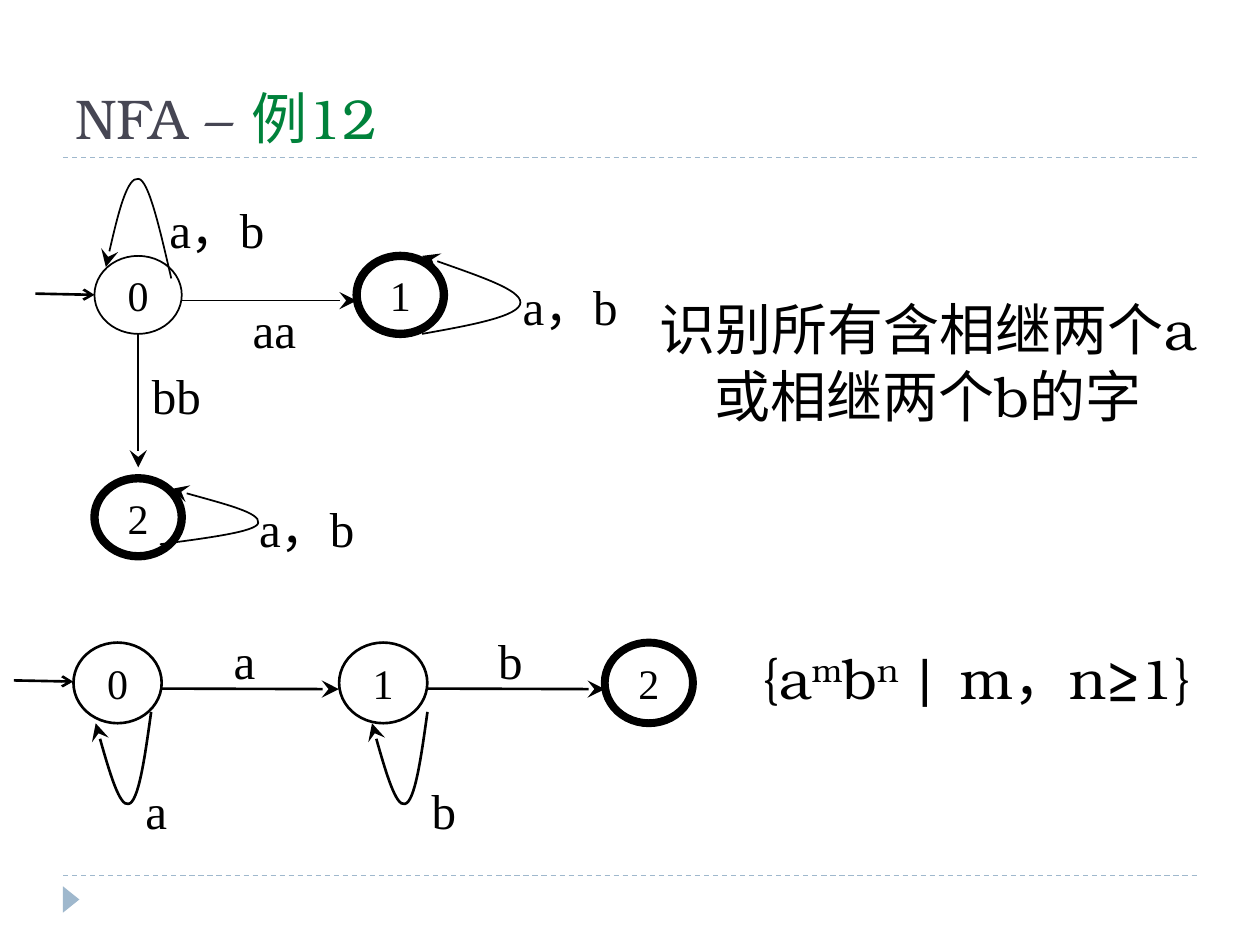
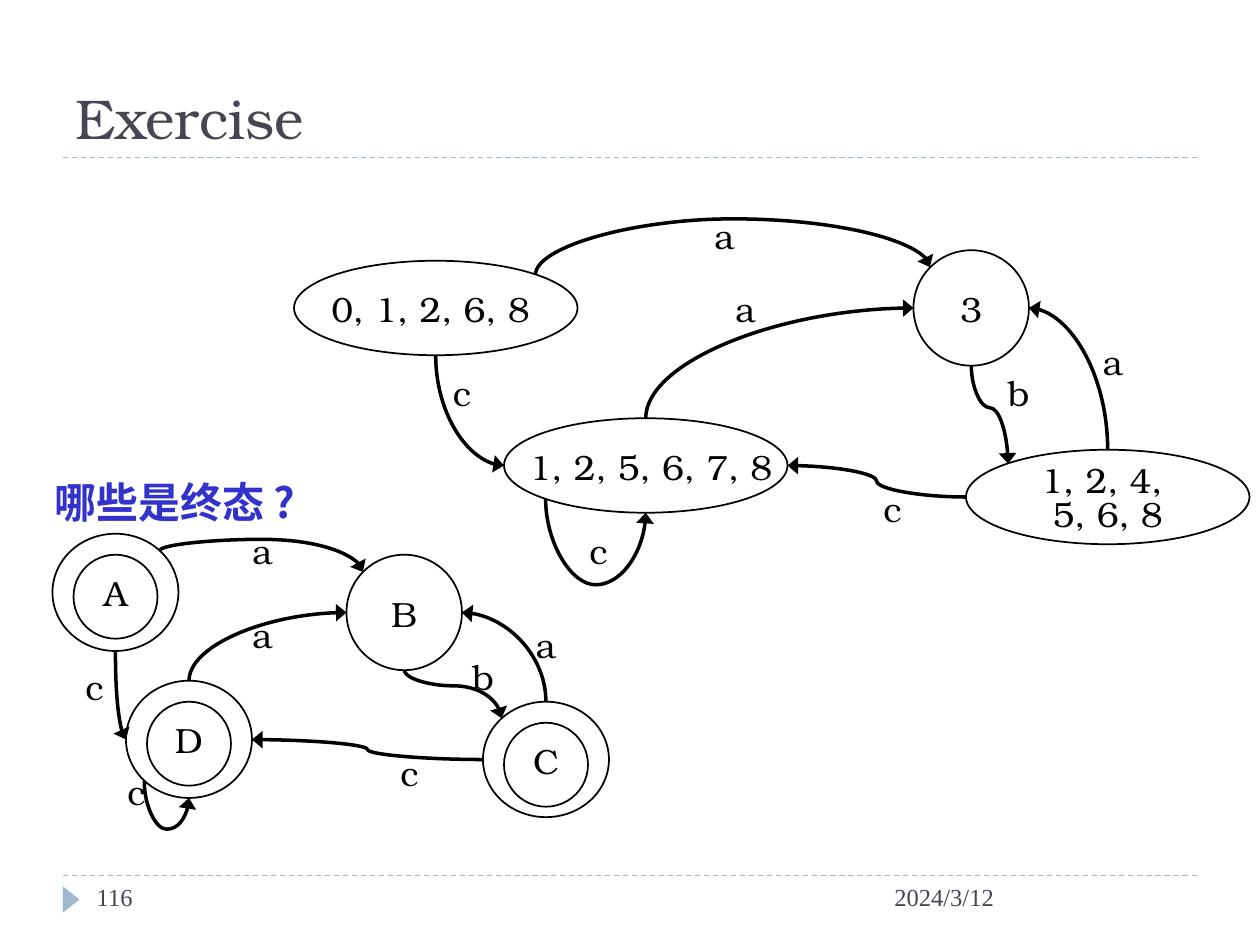
"""Build two slides of finite automata: an NFA example and a subset exercise."""
from dataclasses import dataclass, field
from typing import Any, Optional

import pptx
import pptx.dml.color
import pptx.enum.dml
import pptx.enum.shapes
import pptx.enum.text
import pptx.oxml
import pptx.oxml.ns
import pptx.util

Pt = pptx.util.Pt
qn = pptx.oxml.ns.qn
Anchor = pptx.enum.text.MSO_ANCHOR
Align = pptx.enum.text.PP_ALIGN
Fit = pptx.enum.text.MSO_AUTO_SIZE
Link = pptx.enum.shapes.MSO_CONNECTOR
Form = pptx.enum.shapes.MSO_SHAPE


@dataclass(frozen=True)
class Theme:
    ink: str = "000000"
    slate: str = "464653"
    green: str = "00823B"
    blue: str = "3333CC"
    band: str = "9FB8CD"
    serif: str = "Times New Roman"
    book: str = "TeX Gyre Bonum"
    han: str = "Noto Sans CJK SC"
    title: int = 32
    edge: int = 28
    state: int = 24
    label: int = 20
    foot: int = 14


THEME = Theme()


@dataclass(frozen=True)
class Box:
    x: float
    y: float
    w: float
    h: float


@dataclass(frozen=True)
class Run:
    text: str
    color: str = THEME.ink
    font: str = THEME.book
    size: int = THEME.label
    bold: bool = False
    base: int = 0


@dataclass(frozen=True)
class Style:
    frame: dict[str, Any] = field(default_factory=dict)
    para: dict[str, Any] = field(default_factory=dict)
    gap: float = 0


@dataclass(frozen=True)
class State:
    name: str
    box: Box
    weight: float


@dataclass(frozen=True)
class Mark:
    text: str
    x: float
    y: float
    w: float = 36


@dataclass(frozen=True)
class Curve:
    x0: float
    y0: float
    x1: float
    y1: float
    via: Optional[float] = None
    flat: bool = False


TITLE = Style({"vertical_anchor": Anchor.BOTTOM, "word_wrap": True})
PLAIN = Style({"vertical_anchor": Anchor.TOP, "word_wrap": True})
FREE = Style({"vertical_anchor": Anchor.MIDDLE, "word_wrap": False, "margin_left": Pt(0), "margin_right": Pt(0)},
             {"alignment": Align.CENTER})
GROW = Style({"word_wrap": True, "auto_size": Fit.SHAPE_TO_FIT_TEXT}, {"alignment": Align.CENTER})
TIGHT = Style(GROW.frame, {"alignment": Align.CENTER, "line_spacing": 0.8}, 0.5)


def apply(target: Any, values: dict[str, Any]) -> None:
    """Set every named format value on the target."""
    for name, value in values.items():
        setattr(target, name, value)


def rgb(code: str) -> pptx.dml.color.RGBColor:
    """Turn a hex code into a colour."""
    return pptx.dml.color.RGBColor.from_string(code)


def pts(box: Box) -> tuple[int, ...]:
    """Give the box as lengths."""
    return Pt(box.x), Pt(box.y), Pt(box.w), Pt(box.h)


def write(shape: Any, rows: list[list[Run]], style: Style) -> None:
    """Fill a shape with paragraphs of runs."""
    frame = shape.text_frame
    apply(frame, style.frame)
    for i, row in enumerate(rows):
        para = frame.add_paragraph() if i else frame.paragraphs[0]
        apply(para, style.para)
        if i and style.gap:
            para.space_before = Pt(style.gap)
        for run in row:
            part = para.add_run()
            part.text = run.text
            apply(part.font, {"name": run.font, "size": Pt(run.size), "bold": run.bold})
            part.font.color.rgb = rgb(run.color)
            props = part.font._element
            face = pptx.oxml.parse_xml(f'<a:ea {pptx.oxml.ns.nsdecls("a")} typeface="{THEME.han}"/>')
            props.find(qn("a:latin")).addnext(face)
            if run.base:
                props.set("baseline", str(run.base * 1000))


def text(slide: Any, box: Box, rows: list[list[Run]], style: Style) -> None:
    """Place a text box."""
    write(slide.shapes.add_textbox(*pts(box)), rows, style)


def ink(shape: Any, weight: float, head: str = "", wide: str = "med", long: str = "med",
        color: str = THEME.ink) -> None:
    """Set the outline and the arrowhead."""
    shape.line.width = Pt(weight)
    shape.line.color.rgb = rgb(color)
    if head:
        tip = f'<a:tailEnd {pptx.oxml.ns.nsdecls("a")} type="{head}" w="{wide}" len="{long}"/>'
        shape.line._get_or_add_ln().append(pptx.oxml.parse_xml(tip))


def join(slide: Any, kind: Any, ends: tuple[float, ...]) -> Any:
    """Add a connector without a shadow."""
    link = slide.shapes.add_connector(kind, *map(Pt, ends))
    link._element.spPr.append(pptx.oxml.parse_xml(f'<a:effectLst {pptx.oxml.ns.nsdecls("a")}/>'))
    return link


def arrow(slide: Any, ends: tuple[float, ...], weight: float, head: str, size: str) -> None:
    """Draw a straight arrow."""
    ink(join(slide, Link.STRAIGHT, ends), weight, head, size, size)


def oval(slide: Any, box: Box, weight: float = 1) -> Any:
    """Draw an unfilled ellipse."""
    shape = slide.shapes.add_shape(Form.OVAL, *pts(box))
    shape.shadow.inherit = False
    shape.fill.background()
    ink(shape, weight)
    return shape


def state(slide: Any, item: State) -> None:
    """Draw a named state."""
    run = Run(item.name, font=THEME.serif, size=THEME.state)
    write(oval(slide, item.box, item.weight), [[run]], FREE)


def loop(slide: Any, spots: list[tuple[float, float]], weight: float, dx: float = 0) -> None:
    """Draw a self loop whose points are a start and Bezier triples."""
    ends = [(Pt(x + dx), Pt(y)) for x, y in spots]
    maker = slide.shapes.build_freeform(*ends[0])
    maker.add_line_segments(ends[1:], close=False)
    shape = maker.convert_to_shape()
    shape.shadow.inherit = False
    shape.fill.background()
    steps = list(shape._element.iter(qn("a:lnTo")))
    for i in range(0, len(steps), 3):
        bend = pptx.oxml.parse_xml(f'<a:cubicBezTo {pptx.oxml.ns.nsdecls("a")}/>')
        steps[i].addprevious(bend)
        for step in steps[i:i + 3]:
            bend.append(step[0])
            step.getparent().remove(step)
    ink(shape, weight, "stealth", "lg", "lg")


def curve(slide: Any, c: Curve) -> None:
    """Draw a curved arrow, turned so that it leaves along its first axis."""
    dx, dy = c.x1 - c.x0, c.y1 - c.y0
    w, h = (abs(dx), abs(dy)) if c.flat else (abs(dy), abs(dx))
    x, y = (c.x0 + c.x1 - w) / 2, (c.y0 + c.y1 - h) / 2
    link = join(slide, Link.CURVE, (x, y, x + w, y + h))
    flip = not c.flat and dx * dy > 0
    turn = 180 if c.flat else 270 if flip == (dy > 0) else 90
    frame = link._element.spPr.find(qn("a:xfrm"))
    frame.set("rot", str(turn * 60000))
    if flip:
        frame.set("flipH", "1")
    form = link._element.spPr.find(qn("a:prstGeom"))
    if c.via is None and not c.flat:
        form.set("prst", "curvedConnector2")
    else:
        share = 0.5 if c.flat else (c.via - c.y0) / dy
        guide = f'<a:gd {pptx.oxml.ns.nsdecls("a")} name="adj1" fmla="val {round(share * 100000)}"/>'
        form.get_or_add_avLst().append(pptx.oxml.parse_xml(guide))
    ink(link, 2, "triangle", "lg")


def page(deck: Any, title: list[Run]) -> Any:
    """Add a slide with the shared rules, corner mark and title."""
    slide = deck.slides.add_slide(deck.slide_layouts[6])
    for y in (500.4, 90):
        rule = join(slide, Link.STRAIGHT, (36, y, 684, y))
        ink(rule, 0.75, color=THEME.band)
        rule.line.dash_style = pptx.enum.dml.MSO_LINE.DASH
    mark = slide.shapes.add_shape(Form.ISOSCELES_TRIANGLE, *pts(Box(33.1, 509.3, 15.1, 9.4)))
    mark.shadow.inherit = False
    mark.rotation = 90
    mark.fill.solid()
    mark.fill.fore_color.rgb = rgb(THEME.band)
    mark.line.fill.background()
    text(slide, Box(36, 12, 648, 77.6), [title], TITLE)
    return slide


def head(words: str, color: str = THEME.slate) -> Run:
    """Make a title run."""
    return Run(words, color, size=THEME.title)


def sample(deck: Any) -> None:
    """Build the NFA example."""
    slide = page(deck, [head("NFA – "), head("例12", THEME.green)])
    for name, x, y, weight in (("0", 54, 146.2, 1), ("2", 54, 273.3, 4.75), ("1", 203.8, 146.2, 4.75)):
        state(slide, State(name, Box(x, y, 49.9, 44.6), weight))
    for i, weight in enumerate((1.5, 1.5, 4.5)):
        state(slide, State(str(i), Box(42 + 151.8 * i, 367.2, 50.4, 46.1), weight))
    marks = [Mark("a，b", 89.7, 108.7), Mark("aa", 122.6, 165.6), Mark("a，b", 291.6, 152.6),
             Mark("bb", 66.6, 203.6), Mark("a，b", 141.1, 279.4), Mark("a", 105.5, 355),
             Mark("b", 257.5, 355), Mark("a", 55.1, 440.6), Mark("b", 219.5, 440.6)]
    for m in marks:
        run = Run(m.text, font=THEME.serif, size=THEME.edge)
        text(slide, Box(m.x, m.y, 68.4, 44.6), [[run]], FREE)
    for ends, weight in (((103.7, 171.8, 203.8, 171.8), 1), ((79, 190.8, 79, 267.1), 1),
                         ((92.2, 393.5, 193.7, 393.8), 1.5), ((244.1, 393.5, 345.6, 393.8), 1.5)):
        arrow(slide, ends, weight, "stealth", "lg")
    for ends in ((20.2, 167.8, 54, 168.5), (7.9, 388.8, 41.8, 389.5)):
        arrow(slide, ends, 1.5, "arrow", "med")
    top = [(97.9, 159.1), (91.4, 131), (85, 103), (79.2, 102.2), (72.7, 100.8), (66.2, 126.7), (60.5, 152.6)]
    low = [(91.4, 311), (118.8, 307.4), (146.9, 303.8), (147.6, 298.8), (149, 293), (123.1, 286.6), (97.9, 279.4)]
    side = [(241.2, 190.8), (269.3, 185.8), (297.4, 180.7), (297.4, 172.8), (297.4, 165.6), (269.3, 156.2),
            (241.2, 146.2)]
    under = [(86.4, 406.8), (82.8, 432.7), (79.2, 458.6), (73.4, 459.4), (68.4, 460.8), (61.2, 437), (54.7, 413.3)]
    for spots in (top, low, side):
        loop(slide, spots, 1)
    for dx in (0, 157.9):
        loop(slide, under, 1.5, dx)
    han = {"font": THEME.han, "size": THEME.title}
    book = {"size": THEME.title}
    text(slide, Box(370.8, 167.8, 319, 77.8),
         [[Run("识别所有含相继两个", **han), Run("a", **book)],
          [Run("或相继两个", **han), Run("b", **book), Run("的字", **han)]], FREE)
    parts = (("{a", 0), ("m", 30), ("b", 0), ("n ", 30), ("| m，n≥1}", 0))
    text(slide, Box(426.2, 347.8, 264.2, 77.8), [[Run(t, base=b, **book) for t, b in parts]], FREE)


def drill(deck: Any) -> None:
    """Build the subset exercise."""
    slide = page(deck, [head("Exercise")])
    for words, x, w in (("2024/3/12", 504, 180), ("116", 48.2, 156.2)):
        text(slide, Box(x, 500.4, w, 28.8), [[Run(words, THEME.slate, THEME.serif, THEME.foot)]], PLAIN)
    ask = Run("哪些是终态 ?", THEME.blue, THEME.han, THEME.state, True)
    text(slide, Box(24, 269, 162, 36), [[ask]], PLAIN)
    sets = [Box(x, y, 162, 54) for x, y in ((288, 239), (552, 257), (168, 149))]
    rings = [Box(x, y, 66, 66) for x, y in ((522, 143), (198, 317))]
    outer = [Box(x, y, 72, h) for x, y, h in ((72, 389, 67), (276, 401, 66), (30, 305, 67))]
    inner = [Box(x, y, 48, 48) for x, y in ((84, 401), (288, 413), (42, 317))]
    for box in sets + rings + outer + inner:
        oval(slide, box)
    marks = [Mark("1, 2, 5, 6, 7, 8", 294, 251, 156), Mark("0, 1, 2, 6, 8", 180, 161, 132),
             Mark("3", 534, 161, 42), Mark("c", 324, 299), Mark("b", 564, 209),
             Mark("a", 618, 191), Mark("a", 408, 161), Mark("a", 396, 119),
             Mark("c", 246, 209), Mark("c", 492, 275), Mark("D", 90, 407),
             Mark("C", 288, 419, 48), Mark("A", 42, 323, 48), Mark("B", 210, 335, 42),
             Mark("c", 60, 437), Mark("b", 258, 371), Mark("a", 294, 353),
             Mark("a", 132, 347), Mark("a", 132, 299), Mark("c", 36, 377), Mark("c", 216, 426)]
    for m in marks:
        text(slide, Box(m.x, m.y, m.w, 31.7), [[Run(m.text)]], GROW)
    text(slide, Box(558, 263, 150, 46.8), [[Run("1, 2, 4, ")], [Run("5, 6, 8")]], TIGHT)
    curves = [Curve(306, 157, 531.4, 152.6, 125), Curve(552, 284, 450, 266, flat=True),
              Curve(633, 257, 588, 176), Curve(555, 209, 576, 265, 233),
              Curve(369, 239, 522, 176), Curve(249, 203, 288, 266),
              Curve(311.8, 285.1, 369, 293, 334.1), Curve(91.4, 314.6, 207.4, 326.9, 308.2),
              Curve(276, 434, 144, 422.6, flat=True), Curve(312, 401, 264, 350),
              Curve(231, 383, 286.6, 410.4, 391.9), Curve(108, 389, 198, 350),
              Curve(66, 372, 72, 422.6), Curve(82.4, 446.4, 108, 456, 473.8)]
    for item in curves:
        curve(slide, item)


def main() -> None:
    """Build and save the deck."""
    deck = pptx.Presentation()
    apply(deck, {"slide_width": Pt(720), "slide_height": Pt(540)})
    sample(deck)
    drill(deck)
    deck.save("out.pptx")


if __name__ == "__main__":
    main()
